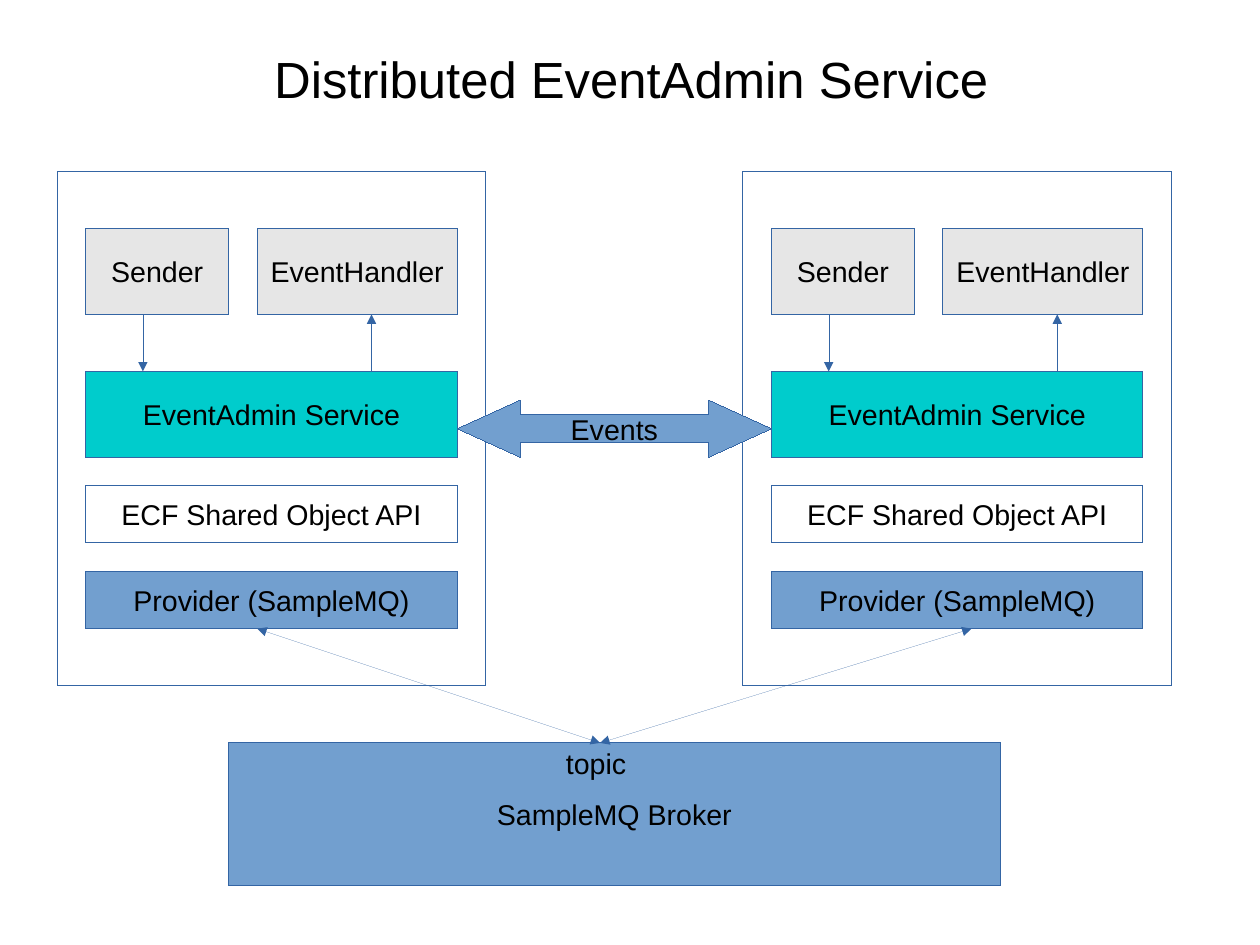
import pptx
import pptx.util
import pptx.dml.color
import pptx.enum.shapes
import pptx.enum.text
import pptx.oxml.ns
import lxml.etree

Pt = pptx.util.Pt
SHAPE = pptx.enum.shapes.MSO_SHAPE
ALIGN = pptx.enum.text.PP_ALIGN
ANCHOR = pptx.enum.text.MSO_ANCHOR

COLOURS = {
    "outline": "3465A4",
    "text": "000000",
    "white": "FFFFFF",
    "grey": "E6E6E6",
    "teal": "00CCCC",
    "blue": "729FCF",
}

FRAME = {
    "margin_left": Pt(7.2),
    "margin_right": Pt(7.2),
    "margin_top": Pt(3.6),
    "margin_bottom": Pt(3.6),
}

NODE_LAYERS = [
    ("EventAdmin Service", 18, 126, 234, 54, "teal"),
    ("EventHandler", 126, 36, 126, 54, "grey"),
    ("Sender", 18, 36, 90, 54, "grey"),
    ("ECF Shared Object API", 18, 198, 234, 36, "white"),
    ("Provider (SampleMQ)", 18, 252, 234, 36, "blue"),
]


def colour(name):
    return pptx.dml.color.RGBColor.from_string(COLOURS[name])


def apply_format(target, values):
    for name, value in values.items():
        setattr(target, name, value)


def write_text(box, text, size=18, align=ALIGN.CENTER, **frame_values):
    frame = box.text_frame
    apply_format(frame, {**FRAME, **frame_values})
    para = frame.paragraphs[0]
    para.alignment = align
    span = para.add_run()
    span.text = text
    apply_format(span.font, {"name": "Arial", "size": Pt(size)})
    span.font.color.rgb = colour("text")


def draw_hairline(shape):
    shape.line.color.rgb = colour("outline")
    line = shape.line._get_or_add_ln()
    line.set("w", "0")
    return line


def add_block(shapes, text, left, top, width, height, fill, kind=SHAPE.RECTANGLE):
    box = shapes.add_shape(kind, Pt(left), Pt(top), Pt(width), Pt(height))
    box.shadow.inherit = False
    box.fill.solid()
    box.fill.fore_color.rgb = colour(fill)
    draw_hairline(box)
    if text:
        write_text(box, text, vertical_anchor=ANCHOR.MIDDLE, word_wrap=True)
    return box


def add_arrow(shapes, start, end, ends=("tailEnd",)):
    arrow = shapes.add_connector(
        pptx.enum.shapes.MSO_CONNECTOR.STRAIGHT, *map(Pt, start + end)
    )
    line = draw_hairline(arrow)
    for name in ends:
        lxml.etree.SubElement(line, pptx.oxml.ns.qn(f"a:{name}"), type="triangle")
    properties = arrow._element.spPr
    lxml.etree.SubElement(properties, pptx.oxml.ns.qn("a:effectLst"))


def add_label(shapes, text, left, top, width, height, **values):
    box = shapes.add_textbox(Pt(left), Pt(top), Pt(width), Pt(height))
    write_text(box, text, **values)


def add_node(page, left, top=108):
    shapes = page.shapes.add_group_shape().shapes
    add_block(shapes, "", left, top, 270, 324, "white")
    for text, x, y, width, height, fill in NODE_LAYERS:
        add_block(shapes, text, left + x, top + y, width, height, fill)
    add_arrow(shapes, (left + 198, top + 126), (left + 198, top + 90))
    add_arrow(shapes, (left + 54, top + 90), (left + 54, top + 126))


def main():
    deck = pptx.Presentation()
    apply_format(deck, {"slide_width": Pt(793.7), "slide_height": Pt(595.28)})
    page = deck.slides.add_slide(deck.slide_layouts[6])
    shapes = page.shapes

    for left in (468, 36):
        add_node(page, left)

    add_block(shapes, "SampleMQ Broker", 144, 468, 486, 90, "blue")
    events = add_block(
        shapes, "Events", 288, 252, 198, 36, "blue", SHAPE.LEFT_RIGHT_ARROW
    )
    events.adjustments[0] = 0.5
    events.adjustments[1] = 1.1

    topic = (378, 468)
    for provider in ((162, 396), (612, 396)):
        add_arrow(shapes, provider, topic, ("headEnd", "tailEnd"))

    add_label(shapes, "topic", 348.5, 466.5, 54, 27.4, word_wrap=True)
    add_label(
        shapes, "Distributed EventAdmin Service", 165.6, 26.6, 465.1, 45.4,
        size=32, align=ALIGN.LEFT, word_wrap=False,
    )
    deck.save("out.pptx")


if __name__ == "__main__":
    main()
